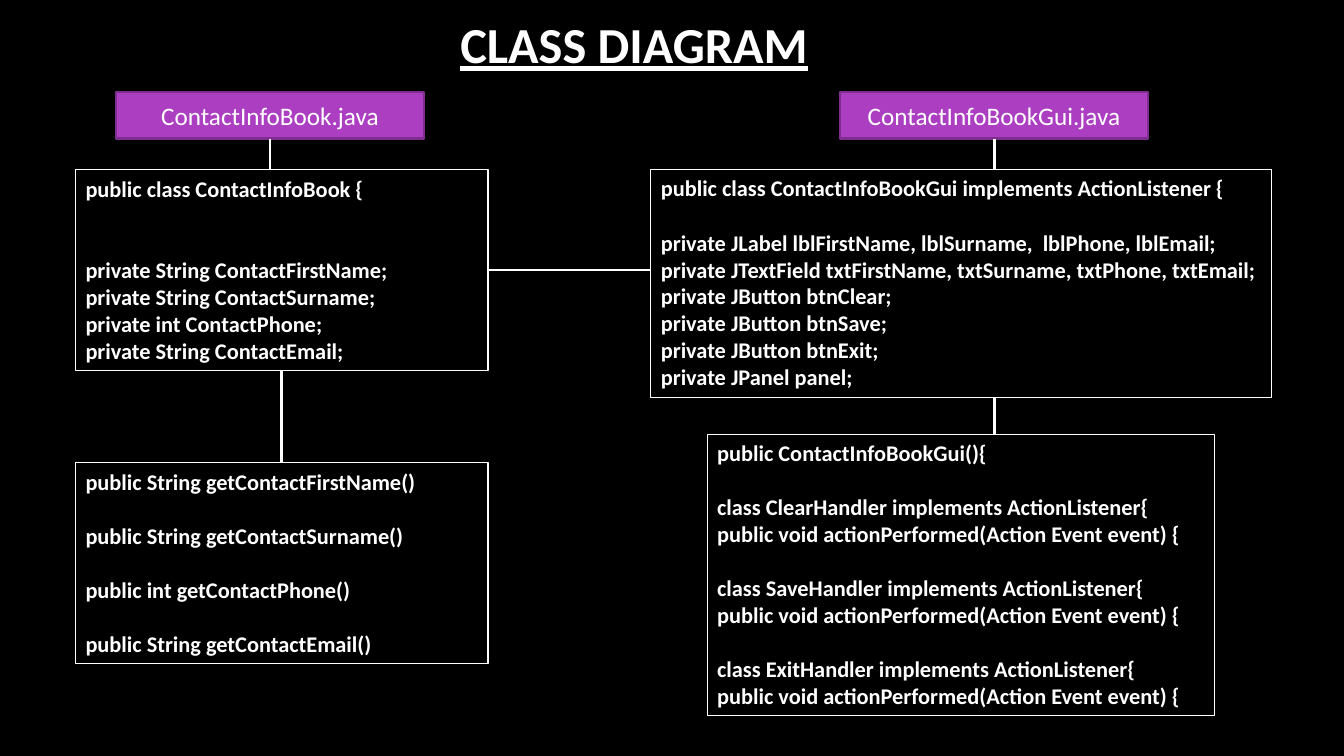
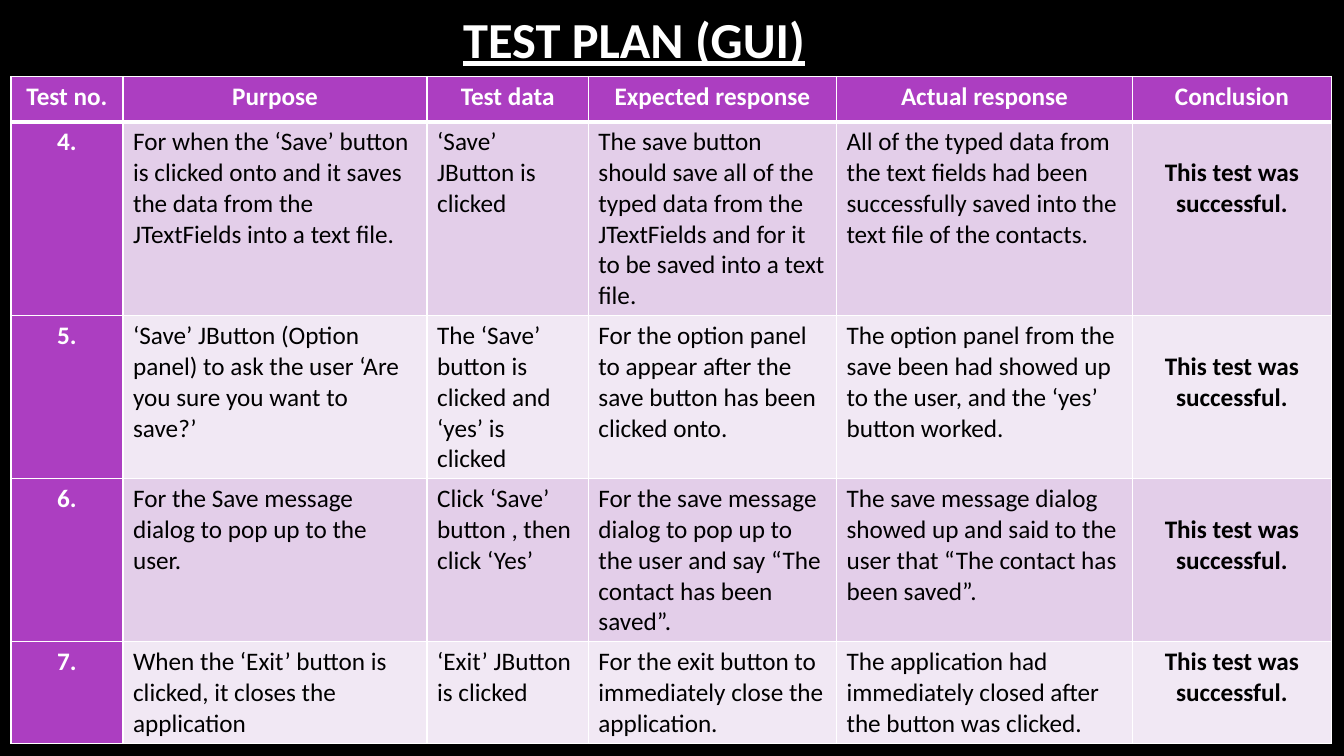
from dataclasses import dataclass

from lxml.etree import SubElement
from pptx import Presentation
from pptx.dml.color import RGBColor as RGB
from pptx.enum.shapes import MSO_CONNECTOR as CONN, MSO_SHAPE as SHAPE
from pptx.enum.text import MSO_ANCHOR as ANCHOR, PP_ALIGN as ALIGN
from pptx.oxml.ns import qn
from pptx.util import Inches, Pt


@dataclass(frozen=True)
class Theme:
    black: str = "000000"
    white: str = "FFFFFF"
    purple: str = "AC3EC1"
    purple_edge: str = "7F2E8F"
    bands: tuple = ("E3CEE9", "F1E8F4")
    font: str = "Calibri"
    title: float = 36
    body: float = 18
    code: float = 16
    line_height: float = 1.22


T = Theme()
COLS, ROWS = 160, 90  # grid of square units, 12 to the inch
BOTTOM, RIGHT, TOP = 2, 3, 0  # connection sites of a rectangle


def unit(n):
    return Inches(n / 12)


class Deck:
    def __init__(self):
        self.prs = Presentation()
        self.prs.slide_width, self.prs.slide_height = unit(COLS), unit(ROWS)
        self.s = None

    def slide(self, title, title_rows):
        self.s = self.prs.slides.add_slide(self.prs.slide_layouts[6])
        fill = self.s.background.fill
        fill.solid()
        fill.fore_color.rgb = RGB.from_string(T.black)
        tf = self.s.shapes.add_textbox(unit(9), 0, unit(133), unit(title_rows)).text_frame
        tf.word_wrap = True
        tf.vertical_anchor = ANCHOR.MIDDLE
        p = tf.paragraphs[0]
        self.set_text(p, title, T.title, bold=True, align=ALIGN.CENTER)
        p.font.underline = True

    def set_text(self, p, text, size, color=T.white, bold=False, align=ALIGN.LEFT):
        p.text = text
        p.alignment = align
        p.font.name, p.font.size, p.font.bold = T.font, Pt(size), bold
        p.font.color.rgb = RGB.from_string(color)

    def rect(self, x, y, w, h, edge, weight, fill=None):
        sp = self.s.shapes.add_shape(SHAPE.RECTANGLE, unit(x), unit(y), unit(w), unit(h))
        sp.shadow.inherit = False
        if fill:
            sp.fill.solid()
            sp.fill.fore_color.rgb = RGB.from_string(fill)
        else:
            sp.fill.background()
        sp.line.color.rgb = RGB.from_string(edge)
        sp.line.width = Pt(weight)
        sp.text_frame.word_wrap = True
        return sp

    def file_tag(self, x, y, text):
        sp = self.rect(x, y, 36.7, 5.6, T.purple_edge, 1.5, T.purple)
        self.set_text(sp.text_frame.paragraphs[0], text, T.body, align=ALIGN.CENTER)
        return sp

    def code_box(self, x, y, w, h, groups, gap_lines=1):
        """Groups of code lines, set apart by a gap counted in lines."""
        sp = self.rect(x, y, w, h, T.white, 0.75)
        tf = sp.text_frame
        tf.vertical_anchor = ANCHOR.TOP
        p = tf.paragraphs[0]
        for g, group in enumerate(groups):
            for i, text in enumerate(group):
                if g or i:
                    p = tf.add_paragraph()
                self.set_text(p, text, T.code, bold=True)
                if g and i == 0:
                    p.space_before = Pt(gap_lines * T.code * T.line_height)
        return sp

    def link(self, start, end, start_site=None, end_site=None):
        """Each end is a shape joined at a site, or an (x, y) point."""
        ln = self.s.shapes.add_connector(CONN.STRAIGHT, 0, 0, 0, 0)
        if start_site is None:
            ln.begin_x, ln.begin_y = start
        else:
            ln.begin_connect(start, start_site)
        if end_site is None:
            ln.end_x, ln.end_y = end
        else:
            ln.end_connect(end, end_site)
        ln.line.color.rgb = RGB.from_string(T.white)
        ln.line.width = Pt(2)
        SubElement(ln._element.spPr, qn("a:effectLst"))

    def cell(self, cell, text, fill, heavy="", top_lines=0, **style):
        tcPr = cell._tc.get_or_add_tcPr()
        for side in "LRTB":
            weight = 3 if side == heavy else 1
            ln = SubElement(tcPr, qn(f"a:ln{side}"), w=str(Pt(weight)))
            solid = SubElement(ln, qn("a:solidFill"))
            SubElement(solid, qn("a:srgbClr"), val=T.white)
        cell.fill.solid()
        cell.fill.fore_color.rgb = RGB.from_string(fill)
        cell.margin_top = Inches(0.05) + Pt(top_lines * T.body * T.line_height)
        self.set_text(cell.text_frame.paragraphs[0], text, T.body, **style)

    def table(self, x, y, widths, heights, header, rows):
        tbl = self.s.shapes.add_table(len(heights), len(widths), unit(x), unit(y),
                                      unit(sum(widths)), unit(sum(heights))).table
        tbl.first_col = True
        for col, w in zip(tbl.columns, widths):
            col.width = unit(w)
        for row, h in zip(tbl.rows, heights):
            row.height = unit(h)
        strong = dict(bold=True, align=ALIGN.CENTER)
        for c, text in enumerate(header):
            self.cell(tbl.cell(0, c), text, T.purple, "B", **strong)
        for r, texts in enumerate(rows, 1):
            band = T.bands[(r - 1) % 2]
            heavy = "T" if r == 1 else ""
            for c, text in enumerate(texts):
                if c == 0:
                    look = dict(fill=T.purple, **strong)
                elif c == len(header) - 1:
                    # The verdict sits one line lower, except in the short last row
                    look = dict(fill=band, color=T.black,
                                top_lines=int(r < len(rows)), **strong)
                else:
                    look = dict(fill=band, color=T.black)
                self.cell(tbl.cell(r, c), text, heavy=heavy, **look)


def class_diagram(d):
    d.slide("CLASS DIAGRAM", 10.4)

    # File names
    book_tag = d.file_tag(13.8, 10.9, "ContactInfoBook.java")
    gui_tag = d.file_tag(100, 10.9, "ContactInfoBookGui.java")

    # Fields and methods
    book = d.code_box(9, 20.2, 49.1, 23.9, [
        ["public class ContactInfoBook {"],
        ["private String ContactFirstName;", "private String ContactSurname;",
         "private int ContactPhone;", "private String ContactEmail;"],
    ], gap_lines=2)
    getters = d.code_box(9, 55.1, 49.1, 23.9, [
        [f"public {kind} getContact{field}()"]
        for kind, field in (("String", "FirstName"), ("String", "Surname"),
                            ("int", "Phone"), ("String", "Email"))])
    gui = d.code_box(77.5, 20.2, 73.9, 27.1, [
        ["public class ContactInfoBookGui implements ActionListener {"],
        ["private JLabel lblFirstName, lblSurname,  lblPhone, lblEmail;",
         "private JTextField txtFirstName, txtSurname, txtPhone, txtEmail;",
         "private JButton btnClear;", "private JButton btnSave;",
         "private JButton btnExit;", "private JPanel panel;"],
    ])
    handlers = d.code_box(84.2, 51.7, 60.4, 33.5, [["public ContactInfoBookGui(){"]] + [
        [f"class {name}Handler implements ActionListener{{",
         "public void actionPerformed(Action Event event) {"]
        for name in ("Clear", "Save", "Exit")])

    # Links
    for tag, box in ((book_tag, book), (gui_tag, gui)):
        d.link(tag, (tag.left + tag.width // 2, box.top), BOTTOM)
    d.link(book, getters, BOTTOM, TOP)
    d.link(book, (gui.left, book.top + book.height // 2), RIGHT)
    x = unit(118.4)
    d.link((x, gui.top + gui.height), (x, handlers.top))


def test_plan(d):
    d.slide("TEST PLAN (GUI)", 9.1)
    passed = "This test was successful."
    header = ["Test no.", "Purpose", "Test data", "Expected response",
              "Actual response", "Conclusion"]
    rows = [
        ["4.",
         "For when the ‘Save’ button is clicked onto and it saves the data from the "
         "JTextFields into a text file.",
         "‘Save’ JButton is clicked",
         "The save button should save all of the typed data from the JTextFields and "
         "for it to be saved into a text file.",
         "All of the typed data from the text fields had been successfully saved into "
         "the text file of the contacts.", passed],
        ["5.",
         "‘Save’ JButton (Option panel) to ask the user ‘Are you sure you want to save?’",
         "The ‘Save’ button is clicked and ‘yes’ is clicked",
         "For the option panel to appear after the save button has been clicked onto.",
         "The option panel from the save been had showed up to the user, and the ‘yes’ "
         "button worked.", passed],
        ["6.",
         "For the Save message dialog to pop up to the user.",
         "Click ‘Save’ button , then click ‘Yes’",
         "For the save message dialog to pop up to the user and say “The contact has "
         "been saved”.",
         "The save message dialog showed up and said to the user that “The contact has "
         "been saved”.", passed],
        ["7.",
         "When the ‘Exit’ button is clicked, it closes the application",
         "‘Exit’ JButton is clicked",
         "For the exit button to immediately close the application.",
         "The application had immediately closed after the button was clicked.", passed],
    ]
    d.table(1.3, 9.1, [13.35, 36.2, 19.2, 29.55, 35.25, 23.65],
            [5.4, 23.1, 19.4, 19.4, 12.1], header, rows)


def main():
    d = Deck()
    class_diagram(d)
    test_plan(d)
    d.prs.save("out.pptx")


if __name__ == "__main__":
    main()
